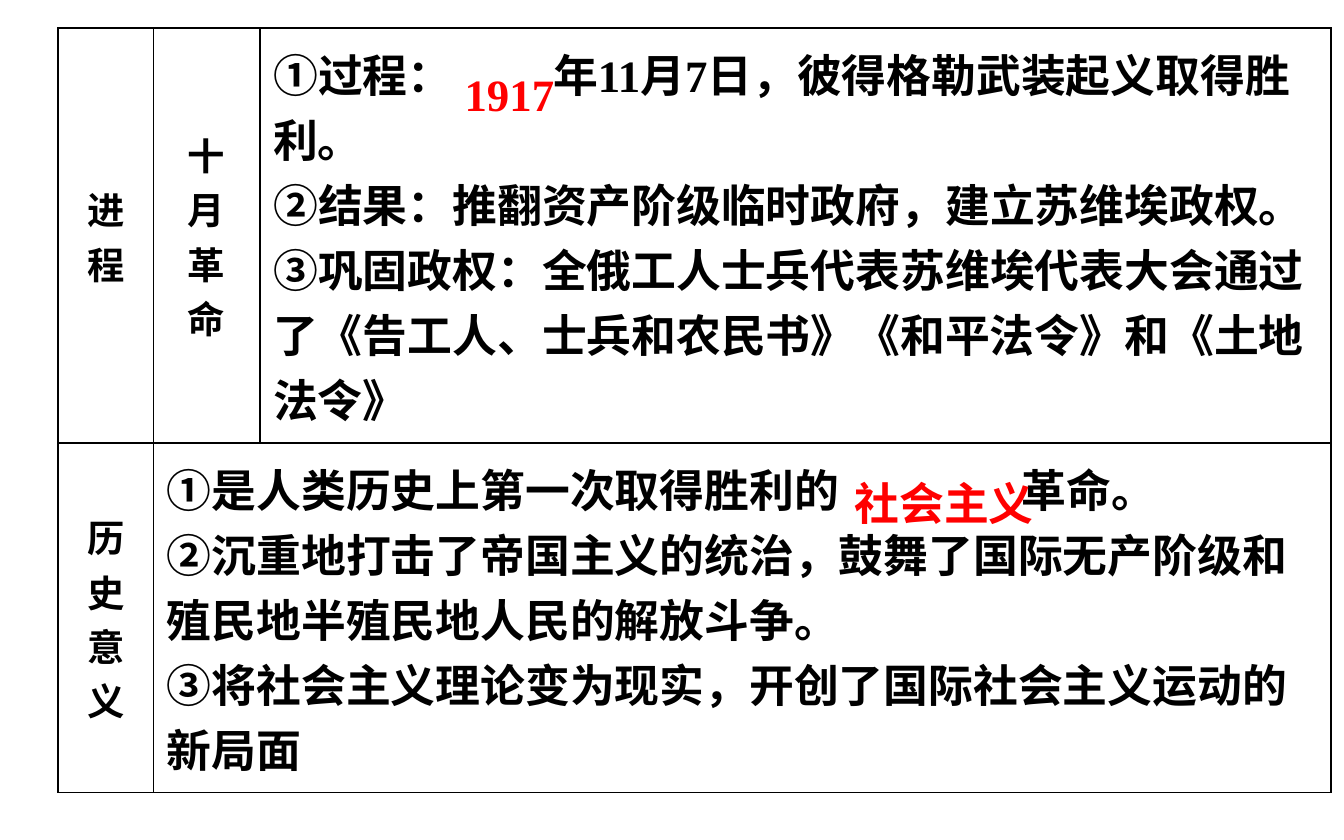
import pptx
import pptx.dml.color
import pptx.enum.text
import pptx.oxml
import pptx.oxml.ns
import pptx.util
from lxml import etree

Cm = pptx.util.Cm
Pt = pptx.util.Pt
RGBColor = pptx.dml.color.RGBColor
PP_ALIGN = pptx.enum.text.PP_ALIGN
qn = pptx.oxml.ns.qn

BLACK = RGBColor(0x00, 0x00, 0x00)
RED = RGBColor(0xFF, 0x00, 0x00)
LATIN = "Times New Roman"
CJK = "Noto Sans CJK SC"

COLUMNS = [1.8, 2.01, 20.25]
ROWS = [7.85, 6.6]

# A tab is the underlined blank to be filled in.
REVOLUTION = [
    ("①", "过程：\t年11月7日，彼得格勒武装起义取得胜利。"),
    ("②", "结果：推翻资产阶级临时政府，建立苏维埃政权。"),
    ("③", "巩固政权：全俄工人士兵代表苏维埃代表大会通过了"
          "《告工人、士兵和农民书》《和平法令》和《土地法令》"),
]
SIGNIFICANCE = [
    ("①", "是人类历史上第一次取得胜利的\t革命。"),
    ("②", "沉重地打击了帝国主义的统治，鼓舞了国际无产阶级和"
          "殖民地半殖民地人民的解放斗争。"),
    ("③", "将社会主义理论变为现实，开创了国际社会主义运动的新局面"),
]


class Builder:
    def __init__(self, slide):
        self.slide = slide
        self.style = {"name": LATIN, "bold": True}

    def run(self, p, text, **formats):
        r = p.add_run()
        r.text = text
        for key, value in {**self.style, **formats}.items():
            if key == "color":
                r.font.color.rgb = value
            else:
                setattr(r.font, key, value)
        ea = etree.SubElement(r.font._element, qn("a:ea"))
        ea.set("typeface", CJK)

    def table(self, left, top, columns, rows):
        frame = self.slide.shapes.add_table(
            len(rows), len(columns), Cm(left), Cm(top),
            Cm(sum(columns)), Cm(sum(rows)))
        table = frame.table
        table.first_row = table.horz_banding = False
        for column, width in zip(table.columns, columns):
            column.width = Cm(width)
        for row, height in zip(table.rows, rows):
            row.height = Cm(height)
        for cell in table.iter_cells():
            cell.fill.background()
            cell.vertical_anchor = pptx.enum.text.MSO_ANCHOR.MIDDLE
            self.borders(cell)
        return table

    def borders(self, cell):
        tcPr = cell._tc.get_or_add_tcPr()
        for i, side in enumerate(("lnL", "lnR", "lnT", "lnB")):
            ln = etree.Element(qn(f"a:{side}"), w=str(Pt(1)))
            fill = etree.SubElement(ln, qn("a:solidFill"))
            etree.SubElement(fill, qn("a:srgbClr"), val=str(BLACK))
            tcPr.insert(i, ln)

    def paragraphs(self, tf, count):
        return [tf.paragraphs[0]] + [tf.add_paragraph() for _ in range(count - 1)]

    def heading(self, cell, text):
        """Stack the characters of a row heading, one to a line."""
        for p, char in zip(self.paragraphs(cell.text_frame, len(text)), text):
            p.alignment = PP_ALIGN.CENTER
            self.run(p, char, size=Pt(20), color=BLACK)

    def points(self, cell, items, blank_end):
        """Write numbered points; a blank runs up to the tab stop blank_end."""
        formats = {"size": Pt(24), "color": BLACK}
        for p, (number, text) in zip(
                self.paragraphs(cell.text_frame, len(items)), items):
            self.run(p, number, **{**formats, "name": CJK})
            before, blank, after = text.partition("\t")
            self.run(p, before, **formats)
            if blank:
                tabs = etree.SubElement(p._p.get_or_add_pPr(), qn("a:tabLst"))
                etree.SubElement(tabs, qn("a:tab"),
                                 pos=str(Cm(blank_end)), algn="l")
                self.run(p, blank, underline=True, **formats)
                self.run(p, after, **formats)

    def answer(self, left, top, width, text):
        sp = self.slide.shapes.add_textbox(Cm(left), Cm(top), Cm(width), Cm(1.27))
        tf = sp.text_frame
        tf.word_wrap = False
        tf.auto_size = pptx.enum.text.MSO_AUTO_SIZE.SHAPE_TO_FIT_TEXT
        self.run(tf.paragraphs[0], text, size=Pt(24), color=RED)


def main():
    prs = pptx.Presentation()
    prs.slide_width, prs.slide_height = Cm(25.4), Cm(15.88)
    s = Builder(prs.slides.add_slide(prs.slide_layouts[6]))

    table = s.table(1.1, 0.53, COLUMNS, ROWS)
    table.cell(1, 1).merge(table.cell(1, 2))
    s.heading(table.cell(0, 0), "进程")
    s.heading(table.cell(0, 1), "十月革命")
    s.points(table.cell(0, 2), REVOLUTION, 5.29)
    s.heading(table.cell(1, 0), "历史意义")
    s.points(table.cell(1, 1), SIGNIFICANCE, 16.16)

    s.answer(8.53, 1.14, 2.24, "1917")
    s.answer(15.9, 8.86, 3.96, "社会主义")
    prs.save("out.pptx")


if __name__ == "__main__":
    main()
